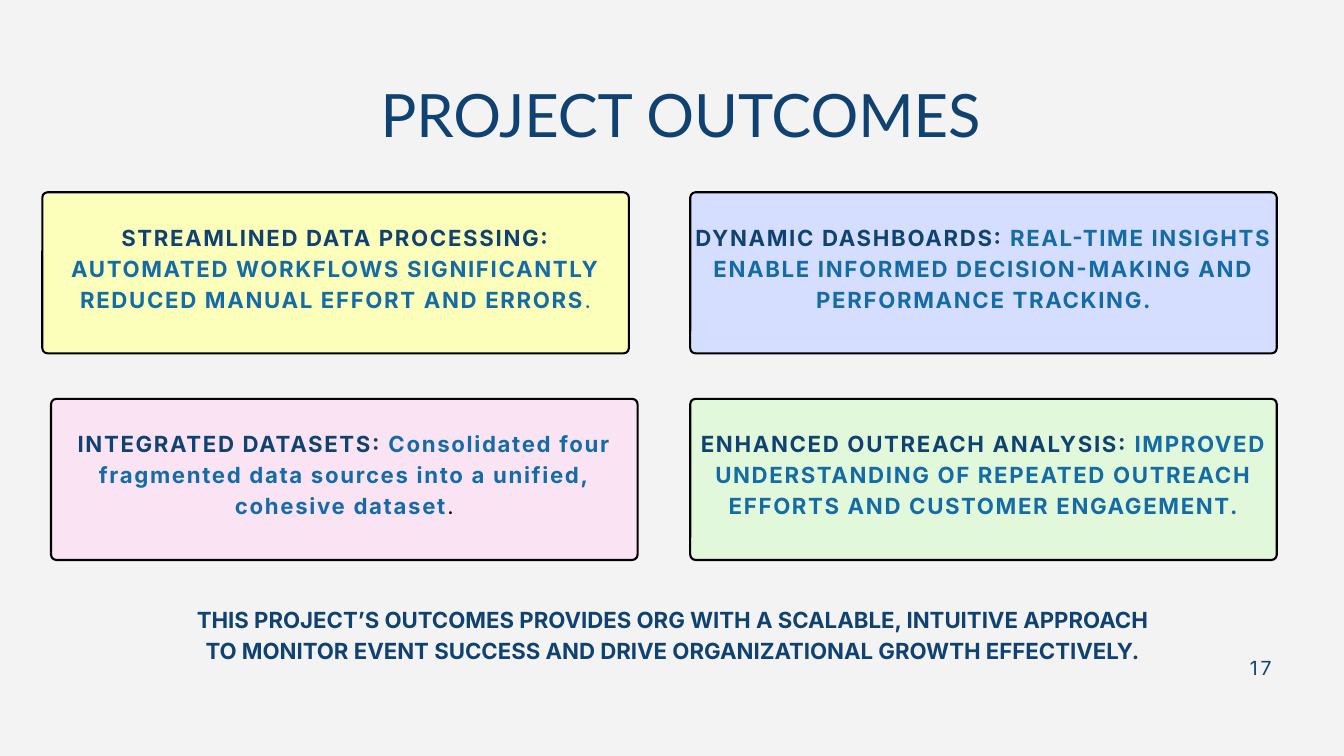
from pptx import Presentation
from pptx.dml.color import RGBColor
from pptx.enum.shapes import MSO_SHAPE
from pptx.enum.text import MSO_ANCHOR, PP_ALIGN
from pptx.util import Cm, Pt

COLORS = {
    "background": "F4F3F3",
    "navy": "104271",
    "blue": "146BA5",
    "black": "000000",
    "yellow": "FCFFB9",
    "pink": "FAE4F3",
    "lavender": "D6DEFF",
    "green": "E2F8DB",
}
BODY = {"name": "Inter", "size": Pt(23.8), "bold": True}
PLAIN = {**BODY, "bold": False}
TITLE = {"name": "Lato", "size": Pt(64)}
NUMBER = {"name": "Inter", "size": Pt(20.8)}


def rgb(color):
    return RGBColor.from_string(COLORS[color])


def add_text(left, top, width, height, runs, line_pt, spacing=0, inset=0,
             anchor=MSO_ANCHOR.TOP):
    """Add a centred paragraph; runs are (text, color, font format) and spacing is in points."""
    frame = slide.shapes.add_textbox(Cm(left), Cm(top), Cm(width), Cm(height)).text_frame
    layout = {"word_wrap": True, "vertical_anchor": anchor}
    layout |= {f"margin_{side}": Cm(inset) for side in ("left", "top", "right", "bottom")}
    for key, value in layout.items():
        setattr(frame, key, value)
    paragraph = frame.paragraphs[0]
    paragraph.alignment = PP_ALIGN.CENTER
    paragraph.line_spacing = Pt(line_pt)
    for text, color, font_format in runs:
        run = paragraph.add_run()
        run.text = text
        for key, value in font_format.items():
            setattr(run.font, key, value)
        run.font.color.rgb = rgb(color)
        if spacing:
            run.font._element.set("spc", str(round(spacing * 100)))


prs = Presentation()
prs.slide_width, prs.slide_height = Cm(50.8), Cm(28.58)
slide = prs.slides.add_slide(prs.slide_layouts[6])
slide.background.fill.solid()
slide.background.fill.fore_color.rgb = rgb("background")

# Outcome cards
CARD_WIDTH, CARD_HEIGHT, CORNER = 22.17, 6.09, 0.2
TEXT_RISE = 0.51  # the text area starts this far above its card
UPPER, LOWER, RIGHT = 7.27, 15.08, 26.09
outcomes = [
    (1.6, UPPER, "yellow", [
        ("STREAMLINED DATA PROCESSING: ", "navy", BODY),
        ("AUTOMATED WORKFLOWS SIGNIFICANTLY REDUCED MANUAL EFFORT AND ERRORS", "blue", BODY),
        (".", "blue", PLAIN)]),
    (1.93, LOWER, "pink", [
        ("INTEGRATED DATASETS: ", "navy", BODY),
        ("Consolidated four fragmented data sources into a unified, cohesive dataset", "blue", BODY),
        (".", "black", PLAIN)]),
    (RIGHT, UPPER, "lavender", [
        ("DYNAMIC DASHBOARDS: ", "navy", BODY),
        ("REAL-TIME INSIGHTS ENABLE INFORMED DECISION-MAKING AND PERFORMANCE TRACKING.",
         "blue", BODY)]),
    (RIGHT, LOWER, "green", [
        ("ENHANCED OUTREACH ANALYSIS:", "navy", BODY),
        (" IMPROVED UNDERSTANDING OF REPEATED OUTREACH EFFORTS AND CUSTOMER ENGAGEMENT.",
         "blue", BODY)]),
]
for left, top, fill, runs in outcomes:
    card = slide.shapes.add_shape(MSO_SHAPE.ROUNDED_RECTANGLE, Cm(left), Cm(top),
                                  Cm(CARD_WIDTH), Cm(CARD_HEIGHT))
    card.adjustments[0] = CORNER / CARD_HEIGHT
    card.shadow.inherit = False
    card.fill.solid()
    card.fill.fore_color.rgb = rgb(fill)
    card.line.color.rgb = rgb("black")
    card.line.width = Pt(2.25)
    add_text(left, top - TEXT_RISE, CARD_WIDTH, CARD_HEIGHT + TEXT_RISE, runs, 33.4,
             spacing=1.8, inset=0.14, anchor=MSO_ANCHOR.MIDDLE)

# Title, conclusion and page number
add_text(3.18, 2.49, 45.09, 3.07, [("PROJECT OUTCOMES", "navy", TITLE)], 89.6)
conclusion = ("THIS PROJECT’S OUTCOMES PROVIDES ORG WITH A SCALABLE, INTUITIVE APPROACH "
              "TO MONITOR EVENT SUCCESS AND DRIVE ORGANIZATIONAL GROWTH EFFECTIVELY.")
add_text(7.16, 22.76, 36.5, 2.29, [(conclusion, "navy", BODY)], 33.3)
add_text(47.17, 24.66, 0.97, 0.97, [("17", "navy", NUMBER)], 29.2, spacing=3.2)

prs.save("out.pptx")
